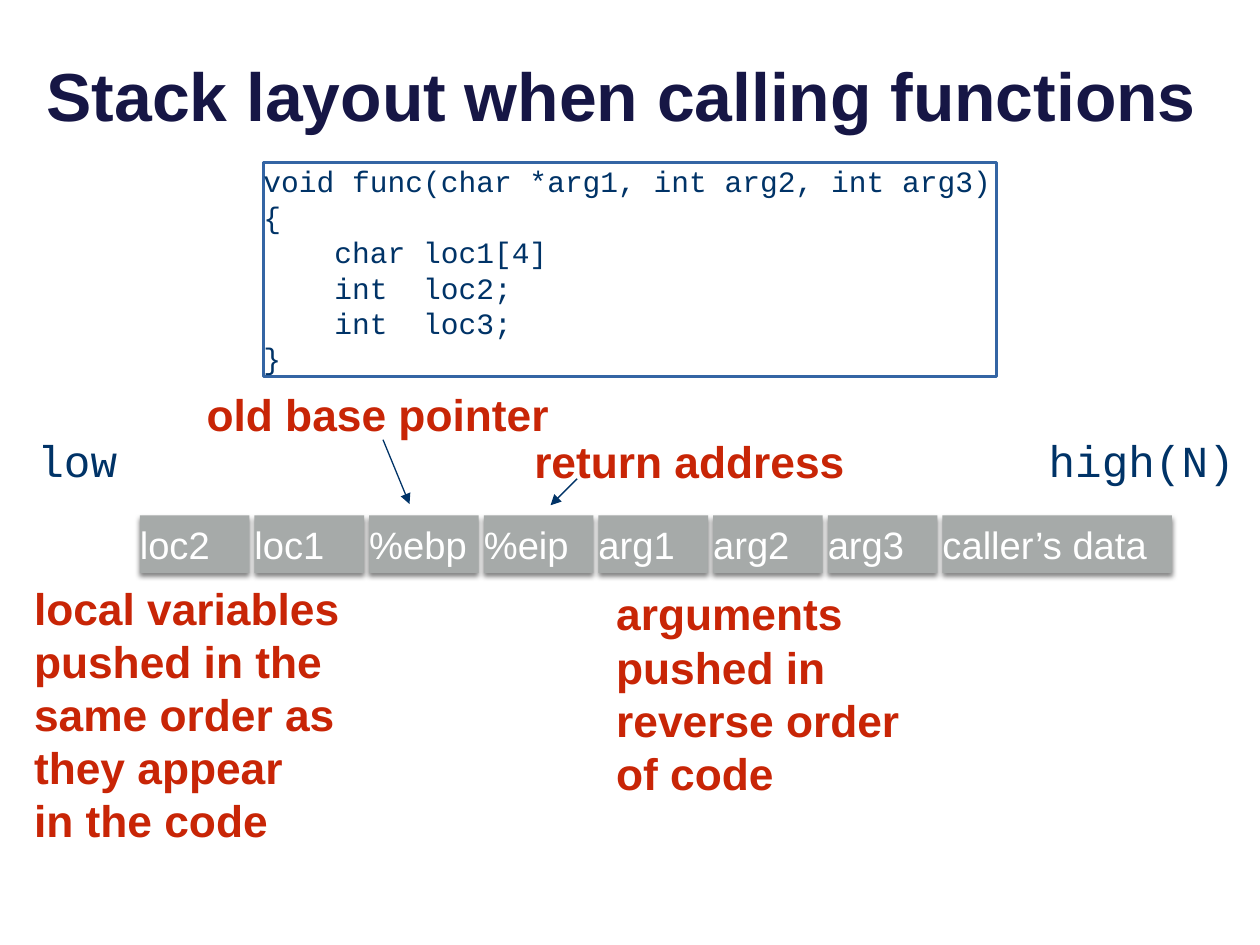
import pptx
import pptx.dml.color
import pptx.enum.shapes
import pptx.enum.text
import pptx.oxml
import pptx.oxml.ns
import pptx.util
from pptx.util import Inches

RGBColor = pptx.dml.color.RGBColor
Align = pptx.enum.text.PP_ALIGN
Anchor = pptx.enum.text.MSO_ANCHOR

TITLE_NAVY = RGBColor(0x16, 0x16, 0x45)
CODE_BLUE = RGBColor(0x00, 0x33, 0x67)
FRAME_BLUE = RGBColor(0x34, 0x65, 0xA4)
NOTE_RED = RGBColor(0xC8, 0x25, 0x06)
CELL_GRAY = RGBColor(0xA6, 0xAA, 0xA9)
WHITE = RGBColor(0xFF, 0xFF, 0xFF)

CELL_SHADOW = (
    '<a:effectLst %s><a:outerShdw blurRad="38100" dist="25400" dir="5400000">'
    '<a:srgbClr val="000000"><a:alpha val="50000"/></a:srgbClr>'
    '</a:outerShdw></a:effectLst>' % pptx.oxml.ns.nsdecls("a"))

CODE = [
    "void func(char *arg1, int arg2, int arg3)",
    "{",
    "    char loc1[4]",
    "    int  loc2;",
    "    int  loc3;",
    "}",
]
STACK_CELLS = ["loc2", "loc1", "%ebp", "%eip", "arg1", "arg2", "arg3",
               "caller’s data"]


def write_text(shape, lines, size, font, color, bold=False,
               align=Align.LEFT, inset=0, spacing=None):
    """Fill a shape with one paragraph per line; \\v breaks within one."""
    frame = shape.text_frame
    frame.vertical_anchor = Anchor.MIDDLE
    frame.margin_left = frame.margin_right = Inches(inset)
    frame.margin_top = frame.margin_bottom = Inches(inset)
    frame.word_wrap = False
    frame.text = "\n".join(lines)
    for para in frame.paragraphs:
        para.alignment = align
        para.line_spacing = spacing
        para.font.size = pptx.util.Pt(size)
        para.font.name = font
        para.font.bold = bold
        para.font.color.rgb = color


def add_title(page, text):
    title = page.shapes.title
    title.left, title.top = Inches(0.27), Inches(0.13)
    title.width, title.height = Inches(9.58), Inches(0.99)
    write_text(title, [text], 38.8, "Arial", TITLE_NAVY, bold=True)
    frame = title.text_frame
    frame.vertical_anchor = Anchor.BOTTOM
    frame.margin_left = frame.margin_right = Inches(0.1)
    frame.margin_top = frame.margin_bottom = Inches(0.05)


def add_code(page, lines, left, top, width, height):
    box = page.shapes.add_textbox(
        Inches(left), Inches(top), Inches(width), Inches(height))
    box.line.color.rgb = FRAME_BLUE
    box.line.width = pptx.util.Pt(2)
    write_text(box, lines, 16.9, "Courier New", CODE_BLUE,
               spacing=pptx.util.Pt(20.2))


def add_address_label(page, text, left, width):
    box = page.shapes.add_textbox(
        Inches(left), Inches(3.4), Inches(width), Inches(0.5))
    write_text(box, [text], 25.3, "Courier New", CODE_BLUE,
               align=Align.RIGHT, inset=0.04)


def add_note(page, lines, left, top, width, height):
    box = page.shapes.add_textbox(
        Inches(left), Inches(top), Inches(width), Inches(height))
    write_text(box, lines, 25.3, "Arial", NOTE_RED, bold=True,
               spacing=pptx.util.Pt(30.4))


def add_stack_cell(page, text, left, width):
    cell = page.shapes.add_shape(
        pptx.enum.shapes.MSO_SHAPE.RECTANGLE,
        Inches(left), Inches(4.09), Inches(width), Inches(0.46))
    cell.fill.solid()
    cell.fill.fore_color.rgb = CELL_GRAY
    cell.line.fill.background()
    cell._element.spPr.append(pptx.oxml.parse_xml(CELL_SHADOW))
    write_text(cell, [text], 21.8, "Arial", WHITE)


def add_arrow(page, start, end):
    arrow = page.shapes.add_connector(
        pptx.enum.shapes.MSO_CONNECTOR.STRAIGHT,
        Inches(start[0]), Inches(start[1]), Inches(end[0]), Inches(end[1]))
    arrow.line.color.rgb = CODE_BLUE
    arrow.line.width = pptx.util.Pt(0.75)
    namespace = pptx.oxml.ns.nsdecls("a")
    arrow.line._get_or_add_ln().append(
        pptx.oxml.parse_xml('<a:tailEnd %s type="triangle"/>' % namespace))
    arrow._element.spPr.append(
        pptx.oxml.parse_xml('<a:effectLst %s/>' % namespace))


def main():
    deck = pptx.Presentation()
    deck.slide_width, deck.slide_height = Inches(10), Inches(7.5)
    page = deck.slides.add_slide(deck.slide_layouts[5])

    # Heading and function source
    add_title(page, "Stack layout when calling functions")
    add_code(page, CODE, 2.09, 1.29, 5.82, 1.7)

    # Ends of the address range
    add_address_label(page, "low", 0.25, 0.72)
    add_address_label(page, "high(N)", 8.26, 1.58)

    # Stack cells, the last one wider
    for index, name in enumerate(STACK_CELLS):
        is_last = index == len(STACK_CELLS) - 1
        add_stack_cell(page, name, 1.11 + 0.91 * index,
                       1.82 if is_last else 0.87)

    # Notes below and above the stack
    add_note(page, ["arguments\vpushed in\vreverse order", "of code"],
             4.89, 4.65, 2.28, 1.7)
    add_note(page, ["local variables\vpushed in the", "same order as",
                    "they appear\vin the code"], 0.27, 4.6, 2.45, 2.13)
    add_note(page, ["return address"], 4.24, 3.44, 2.49, 0.43)
    add_note(page, ["old base pointer"], 1.64, 3.07, 2.8, 0.43)

    # Pointers from the upper notes to their cells
    add_arrow(page, (3.04, 3.49), (3.25, 4))
    add_arrow(page, (4.58, 3.8), (4.37, 4.01))

    deck.save("out.pptx")


if __name__ == "__main__":
    main()
